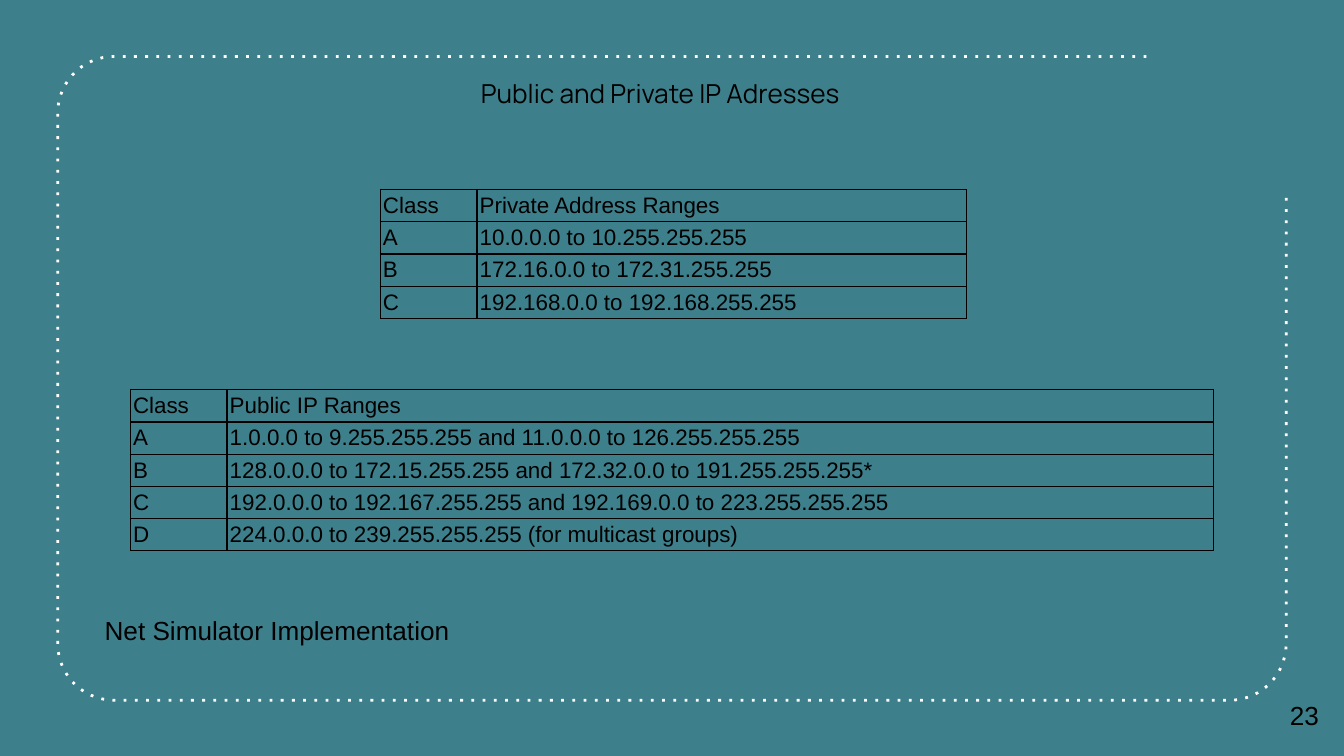
"""Build the slide on public and private IP address ranges."""
from dataclasses import dataclass
from math import cos, radians, sin

from lxml.etree import SubElement
from pptx import Presentation
from pptx.dml.color import RGBColor
from pptx.enum.text import MSO_ANCHOR, PP_ALIGN
from pptx.oxml.ns import qn
from pptx.util import Inches, Pt


@dataclass(frozen=True)
class Theme:
    background: str = "3D808C"
    ink: str = "000000"
    frame: str = "FFFFFF"
    body_font: str = "Arial"
    title_font: str = "Manrope"
    text_size: float = 14
    table_size: float = 12
    frame_width: float = 1.5
    border_width: float = 0.75


class SlideBuilder:
    def __init__(self, slide, theme):
        self.slide = slide
        self.theme = theme
        fill = slide.background.fill
        fill.solid()
        fill.fore_color.rgb = RGBColor.from_string(theme.background)

    def style(self, paragraph, size, font=None):
        paragraph.font.name = font or self.theme.body_font
        paragraph.font.size = Pt(size)
        paragraph.font.color.rgb = RGBColor.from_string(self.theme.ink)

    def text(self, words, left, top, width, height, font=None, wrap=True):
        shape = self.slide.shapes.add_textbox(
            Inches(left), Inches(top), Inches(width), Inches(height))
        frame = shape.text_frame
        frame.word_wrap = wrap
        frame.text = words
        self.style(frame.paragraphs[0], self.theme.text_size, font)
        return frame

    def page_number(self, number):
        frame = self.text(number, 9.41, 5.02, 0.59, 0.6)
        frame.vertical_anchor = MSO_ANCHOR.MIDDLE
        frame.margin_top = frame.margin_bottom = Inches(0.1)
        frame.paragraphs[0].alignment = PP_ALIGN.CENTER

    def dotted_frame(self, left, top, right, bottom, radius, top_end, right_end):
        corners = [(left + radius, top + radius, 270),
                   (left + radius, bottom - radius, 180),
                   (right - radius, bottom - radius, 90)]
        points = [(x + radius * cos(radians(start - turn)),
                   y + radius * sin(radians(start - turn)))
                  for x, y, start in corners for turn in range(0, 91, 6)]
        points.append((right, right_end))
        builder = self.slide.shapes.build_freeform(Inches(top_end), Inches(top))
        builder.add_line_segments(
            [(Inches(x), Inches(y)) for x, y in points], close=False)
        shape = builder.convert_to_shape()
        shape.shadow.inherit = False
        shape.fill.background()
        shape.line.color.rgb = RGBColor.from_string(self.theme.frame)
        shape.line.width = Pt(self.theme.frame_width)
        line = shape._element.spPr.find(qn("a:ln"))
        SubElement(line, qn("a:prstDash"), val="dot")

    def borders(self, cell):
        properties = cell._tc.get_or_add_tcPr()
        for side in ("lnL", "lnR", "lnT", "lnB"):
            line = SubElement(properties, qn(f"a:{side}"),
                              w=str(Pt(self.theme.border_width)))
            fill = SubElement(line, qn("a:solidFill"))
            SubElement(fill, qn("a:srgbClr"), val=self.theme.ink)

    def table(self, rows, left, top, widths, row_height=0.24):
        table = self.slide.shapes.add_table(
            len(rows), len(widths), Inches(left), Inches(top),
            Inches(sum(widths)), Inches(row_height * len(rows))).table
        table.first_row = table.horz_banding = False
        for column, width in zip(table.columns, widths):
            column.width = Inches(width)
        for cell, words in zip(table.iter_cells(), sum(rows, ())):
            cell.text = words
            cell.vertical_anchor = MSO_ANCHOR.MIDDLE
            cell.margin_left = cell.margin_right = Inches(0.02)
            cell.margin_top = cell.margin_bottom = Inches(0.02)
            self.borders(cell)
            cell.fill.background()
            paragraph = cell.text_frame.paragraphs[0]
            paragraph.space_after = Pt(14.2)
            self.style(paragraph, self.theme.table_size)


PRIVATE_RANGES = [
    ("Class", "Private Address Ranges"),
    ("A", "10.0.0.0 to 10.255.255.255"),
    ("B", "172.16.0.0 to 172.31.255.255"),
    ("C", "192.168.0.0 to 192.168.255.255"),
]
PUBLIC_RANGES = [
    ("Class", "Public IP Ranges"),
    ("A", "1.0.0.0 to 9.255.255.255 and 11.0.0.0 to 126.255.255.255"),
    ("B", "128.0.0.0 to 172.15.255.255 and 172.32.0.0 to 191.255.255.255*"),
    ("C", "192.0.0.0 to 192.167.255.255 and 192.169.0.0 to 223.255.255.255"),
    ("D", "224.0.0.0 to 239.255.255.255 (for multicast groups)"),
]


def main():
    presentation = Presentation()
    presentation.slide_width = Inches(10)
    presentation.slide_height = Inches(10) * 9 // 16
    theme = Theme()
    slide = presentation.slides.add_slide(presentation.slide_layouts[6])
    builder = SlideBuilder(slide, theme)
    builder.dotted_frame(0.43, 0.42, 9.57, 5.21, 0.42, top_end=8.53, right_end=1.46)
    builder.page_number("23")
    builder.text("Public and Private IP Adresses", 3.48, 0.53, 3.04, 0.34,
                 theme.title_font, wrap=False)
    builder.table(PRIVATE_RANGES, 2.83, 1.41, (0.72, 3.64))
    builder.table(PUBLIC_RANGES, 0.97, 2.9, (0.72, 7.34))
    builder.text("Net Simulator Implementation", 0.68, 4.52, 2.8, 0.34, wrap=False)
    presentation.save("out.pptx")


if __name__ == "__main__":
    main()
